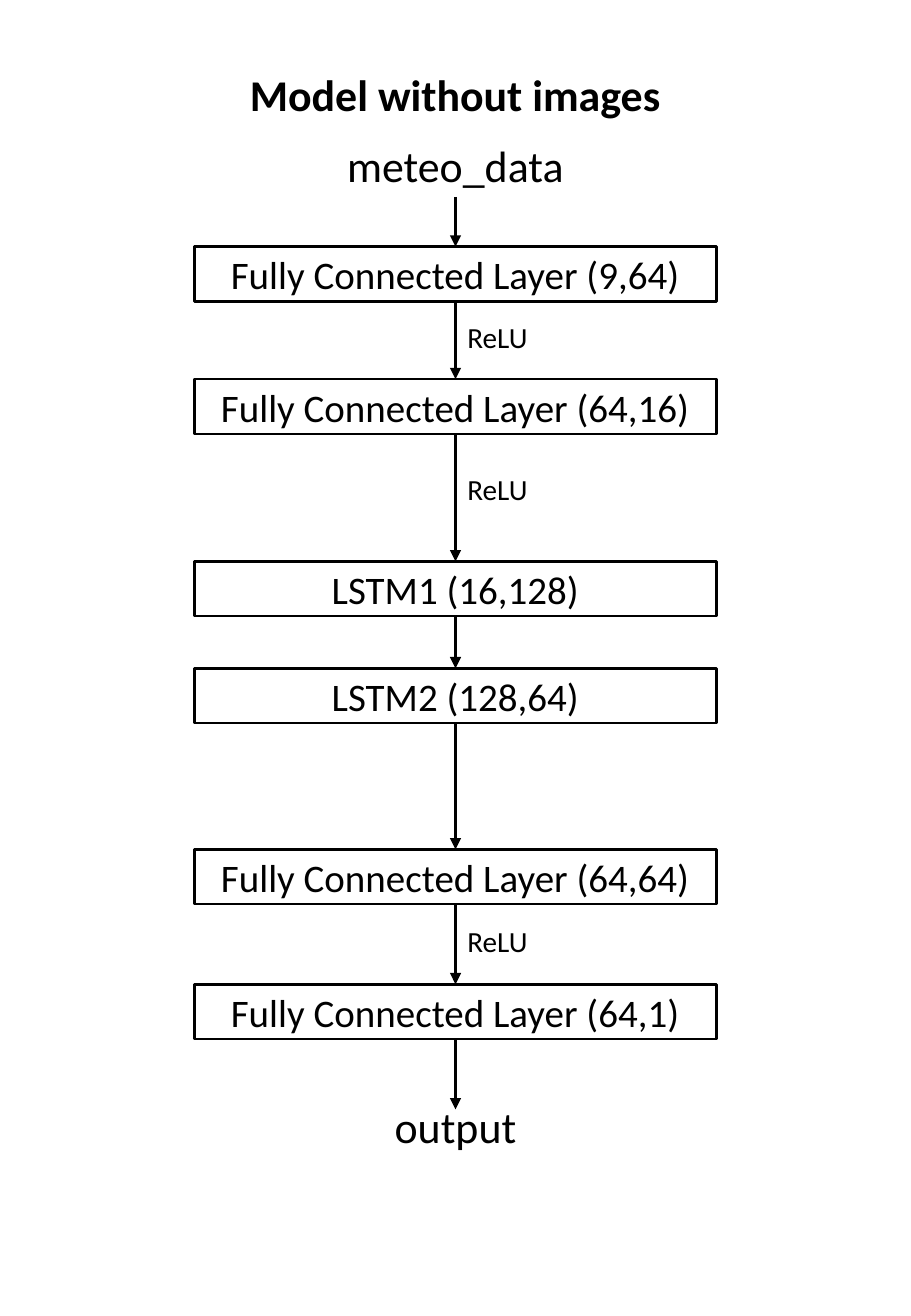
from dataclasses import dataclass
from itertools import pairwise

from lxml.etree import SubElement
from pptx import Presentation
from pptx.dml.color import RGBColor
from pptx.enum.shapes import MSO_CONNECTOR as Link, MSO_SHAPE as Preset
from pptx.enum.text import MSO_ANCHOR as Anchor, PP_ALIGN as Align
from pptx.oxml.ns import qn
from pptx.shapes.autoshape import Shape
from pptx.shapes.connector import Connector
from pptx.slide import Slide
from pptx.util import Inches, Pt

FONT = "Calibri"
BLACK, WHITE = "000000", "FFFFFF"
CENTER = 3.75
LAYER_WIDTH, LAYER_HEIGHT = 4.3, 0.45
HEADING_SIZE, LAYER_SIZE, LABEL_SIZE = 26, 23.1, 17.3
TOP, BOTTOM = 0, 2


@dataclass(frozen=True)
class Layer:
    text: str
    top: float


@dataclass(frozen=True)
class Label:
    text: str
    left: float
    top: float
    width: float
    height: float
    size: float
    align: Align


LAYERS = [
    Layer("Fully Connected Layer (9,64)", 2.03),
    Layer("Fully Connected Layer (64,16)", 3.12),
    Layer("LSTM1 (16,128)", 4.62),
    Layer("LSTM2 (128,64)", 5.5),
    Layer("Fully Connected Layer (64,64)", 6.99),
    Layer("Fully Connected Layer (64,1)", 8.1),
]
LABELS = [
    Label("meteo_data", 2.03, 1.09, 3.44, 0.54, HEADING_SIZE, Align.CENTER),
    Label("output", 3.09, 9, 1.32, 0.54, HEADING_SIZE, Align.CENTER),
] + [
    Label("ReLU", CENTER, top, 0.99, 0.39, LABEL_SIZE, Align.LEFT)
    for top in (2.58, 3.83, 7.55)
]


def color(value: str) -> RGBColor:
    return RGBColor.from_string(value)


def write(box: Shape, text: str, size: float, align: Align,
          anchor: Anchor = Anchor.TOP, bold: bool = False) -> None:
    frame = box.text_frame
    frame.word_wrap = True
    frame.vertical_anchor = anchor
    para = frame.paragraphs[0]
    para.alignment = align
    span = para.add_run()
    span.text = text
    span.font.name = FONT
    span.font.size = Pt(size)
    span.font.bold = bold
    span.font.color.rgb = color(BLACK)


def add_title(page: Slide, text: str) -> None:
    title = page.shapes.title
    title.left, title.top = Inches(1.82), Inches(0.51)
    title.width, title.height = Inches(3.86), Inches(0.54)
    write(title, text, HEADING_SIZE, Align.CENTER, bold=True)


def add_label(page: Slide, label: Label) -> None:
    box = page.shapes.add_textbox(Inches(label.left), Inches(label.top),
                                  Inches(label.width), Inches(label.height))
    write(box, label.text, label.size, label.align)


def add_layer(page: Slide, layer: Layer) -> Shape:
    box = page.shapes.add_shape(
        Preset.RECTANGLE, Inches(CENTER - LAYER_WIDTH / 2), Inches(layer.top),
        Inches(LAYER_WIDTH), Inches(LAYER_HEIGHT))
    box.shadow.inherit = False
    box.fill.solid()
    box.fill.fore_color.rgb = color(WHITE)
    box.line.color.rgb = color(BLACK)
    box.line.width = Pt(1.5)
    write(box, layer.text, LAYER_SIZE, Align.CENTER, Anchor.MIDDLE)
    return box


def add_arrow(page: Slide, start: float, end: float) -> Connector:
    arrow = page.shapes.add_connector(Link.STRAIGHT, Inches(CENTER), Inches(start),
                                      Inches(CENTER), Inches(end))
    arrow.line.color.rgb = color(BLACK)
    arrow.line.width = Pt(2.25)
    SubElement(arrow.line._get_or_add_ln(), qn("a:tailEnd"), type="triangle")
    SubElement(arrow._element.spPr, qn("a:effectLst"))
    return arrow


def main() -> None:
    deck = Presentation()
    deck.slide_width, deck.slide_height = Inches(7.5), Inches(10.83)
    page = deck.slides.add_slide(deck.slide_layouts.get_by_name("Title Only"))

    # Title, layers and labels
    add_title(page, "Model without images")
    boxes = [add_layer(page, layer) for layer in LAYERS]
    for label in LABELS:
        add_label(page, label)

    # Arrows into, between and out of the layers
    add_arrow(page, 1.62, LAYERS[0].top).end_connect(boxes[0], TOP)
    for (upper, source), (lower, target) in pairwise(zip(LAYERS, boxes)):
        arrow = add_arrow(page, upper.top + LAYER_HEIGHT, lower.top)
        arrow.begin_connect(source, BOTTOM)
        arrow.end_connect(target, TOP)
    add_arrow(page, LAYERS[-1].top + LAYER_HEIGHT, 9.13).begin_connect(boxes[-1], BOTTOM)

    deck.save("out.pptx")


if __name__ == "__main__":
    main()
